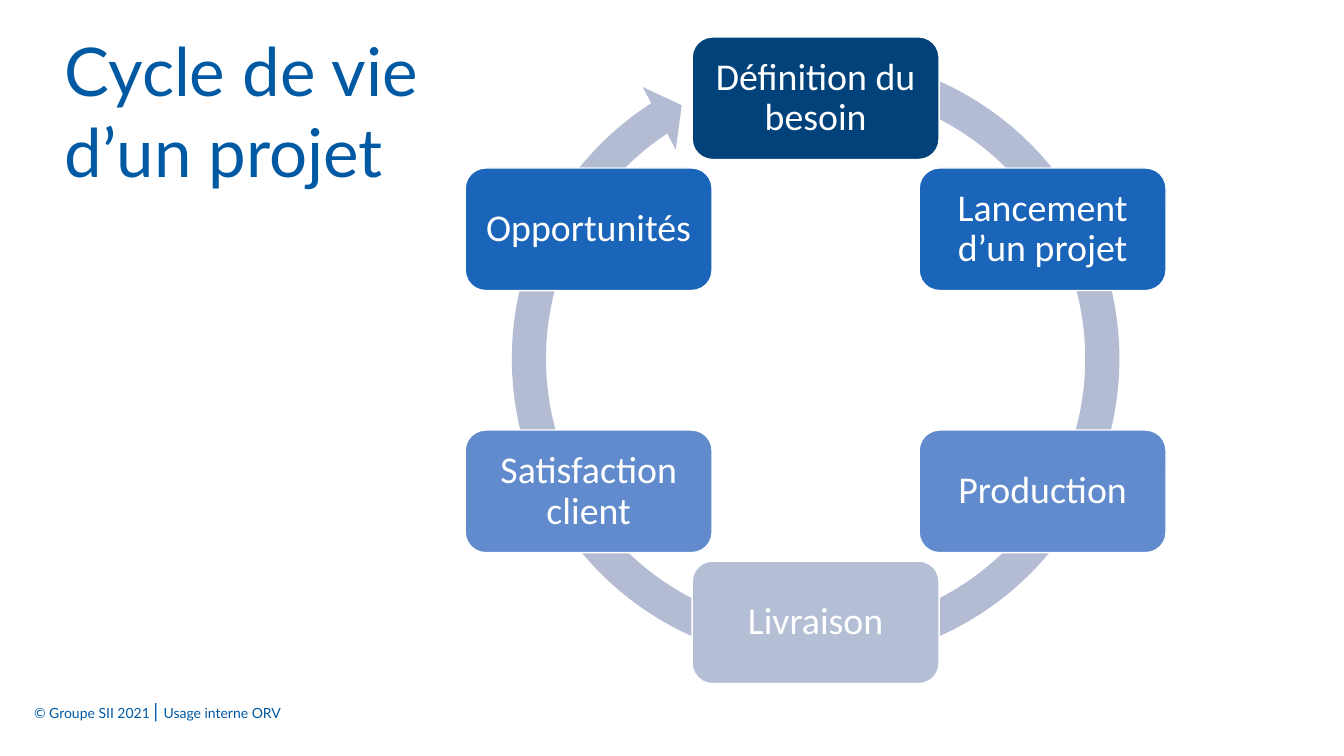
from dataclasses import dataclass
from math import cos, radians, sin

from pptx import Presentation
from pptx.dml.color import RGBColor
from pptx.enum.shapes import MSO_SHAPE as Shape
from pptx.enum.text import MSO_ANCHOR as Anchor, PP_ALIGN as Align
from pptx.util import Inches, Pt

COLUMNS, ROWS = 16, 9
CENTRE_COLUMN, CENTRE_ROW = 9.71, 4.29
RADIUS = 3.12
BOX_WIDTH, BOX_HEIGHT = 2.94, 1.46
ARROW_SIZE = 7.67
ARROW_ADJUSTMENTS = (0.053, 3.126, 142.173, 171.334, 0.055)


@dataclass(frozen=True)
class Theme:
    heading_font: str = "Lato"
    step_font: str = "Calibri"
    title_size: int = 48
    step_size: int = 27
    footer_size: int = 10
    separator_size: int = 14
    brand: str = "0059A3"
    white: str = "FFFFFF"
    ring: str = "B4BCD3"
    navy: str = "004279"
    blue: str = "1A64B9"
    sky: str = "618BCC"
    mist: str = "B4BED4"


class CycleSlide:
    """Draws the elements of a cycle slide on a grid of square cells."""

    def __init__(self, presentation, theme):
        self.theme = theme
        self.cell_width = presentation.slide_width / COLUMNS
        self.cell_height = presentation.slide_height / ROWS
        self.slide = presentation.slides.add_slide(presentation.slide_layouts[6])

    def place(self, column, row, width, height):
        return (round(column * self.cell_width), round(row * self.cell_height),
                round(width * self.cell_width), round(height * self.cell_height))

    def style(self, font, name, size, color):
        font.name = name
        font.size = Pt(size)
        font.color.rgb = RGBColor.from_string(color)

    def set_insets(self, frame, inset):
        frame.margin_left = frame.margin_right = Inches(inset)
        frame.margin_top = frame.margin_bottom = Inches(inset)

    def text_box(self, area):
        box = self.slide.shapes.add_textbox(*self.place(*area))
        box.text_frame.word_wrap = True
        return box.text_frame

    def title(self, text, area):
        frame = self.text_box(area)
        self.set_insets(frame, 0)
        paragraph = frame.paragraphs[0]
        paragraph.text = text
        self.style(paragraph.font, self.theme.heading_font,
                   self.theme.title_size, self.theme.brand)

    def footer(self, runs, area, align):
        frame = self.text_box(area)
        frame.vertical_anchor = Anchor.MIDDLE
        paragraph = frame.paragraphs[0]
        paragraph.alignment = align
        for text, size in runs:
            run = paragraph.add_run()
            run.text = text
            self.style(run.font, self.theme.heading_font, size, self.theme.brand)

    def shape(self, kind, column, row, width, height, color):
        area = self.place(column - width / 2, row - height / 2, width, height)
        shape = self.slide.shapes.add_shape(kind, *area)
        shape.shadow.inherit = False
        shape.fill.solid()
        shape.fill.fore_color.rgb = RGBColor.from_string(color)
        return shape

    def ring(self):
        arrow = self.shape(Shape.CIRCULAR_ARROW, CENTRE_COLUMN, CENTRE_ROW - 0.02,
                           ARROW_SIZE, ARROW_SIZE, self.theme.ring)
        arrow.line.fill.background()
        for index, value in enumerate(ARROW_ADJUSTMENTS):
            arrow.adjustments[index] = value

    def step(self, text, color, angle):
        column = CENTRE_COLUMN + RADIUS * sin(radians(angle))
        row = CENTRE_ROW - RADIUS * cos(radians(angle))
        box = self.shape(Shape.ROUNDED_RECTANGLE, column, row,
                         BOX_WIDTH, BOX_HEIGHT, color)
        box.line.color.rgb = RGBColor.from_string(self.theme.white)
        box.line.width = Pt(1)
        frame = box.text_frame
        frame.word_wrap = True
        frame.vertical_anchor = Anchor.MIDDLE
        self.set_insets(frame, 0.11)
        paragraph = frame.paragraphs[0]
        paragraph.text = text
        paragraph.alignment = Align.CENTER
        paragraph.line_spacing = 0.9
        self.style(paragraph.font, self.theme.step_font,
                   self.theme.step_size, self.theme.white)

    def cycle(self, steps):
        self.ring()
        for index, (text, color) in enumerate(steps):
            self.step(text, color, index * 360 / len(steps))


def main():
    presentation = Presentation()
    presentation.slide_width = Inches(13.33)
    presentation.slide_height = Inches(7.5)
    theme = Theme()
    slide = CycleSlide(presentation, theme)
    slide.footer([("© Groupe SII 2021 ", theme.footer_size),
                  ("| ", theme.separator_size)],
                 (0, 7.98, 2.35, 0.95), Align.CENTER)
    slide.footer([("Usage interne ORV", theme.footer_size)],
                 (1.83, 8.01, 3.78, 0.95), Align.LEFT)
    slide.cycle([
        ("Définition du besoin", theme.navy),
        ("Lancement d’un projet", theme.blue),
        ("Production", theme.sky),
        ("Livraison", theme.mist),
        ("Satisfaction client", theme.sky),
        ("Opportunités", theme.blue),
    ])
    slide.title("Cycle de vie d’un projet", (0.77, 0.35, 5.05, 2.27))
    presentation.save("out.pptx")


if __name__ == "__main__":
    main()
